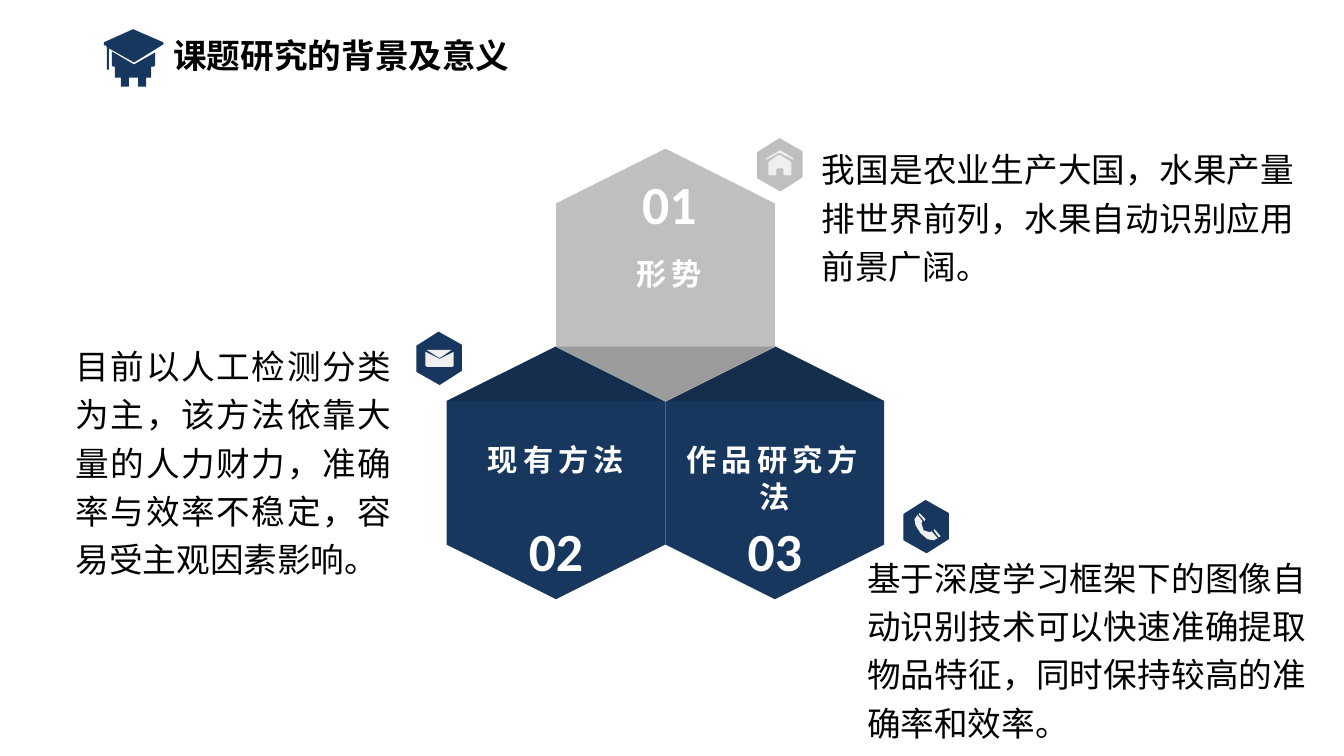
from lxml import etree
from pptx import Presentation, util as u
from pptx.dml.color import RGBColor
from pptx.enum import shapes as shp, text as txt
from pptx.oxml.ns import qn

NAVY, GREY, PALE, INK, WHITE = "17375E", "BFBFBF", "F0EFEF", "000000", "FFFFFF"
SHADE = "0D0D0D"
CJK, LATIN = "Noto Sans CJK SC", "Calibri"
HEX_W, HEX_H = 2.17, 2.51
HEX_SLOPE = HEX_W / 4
CENTER_X, TOP_Y, ROW_STEP = 6.6, 2.73, 1.96

# Icon outlines, in hundredths of an inch from the corner of their box
BADGE = [(0, 14), (22, 0), (45, 13), (45, 39), (23, 53), (0, 40)]
HOUSE = [
    [(23, 17), (21, 17), (12, 23), (11, 24), (11, 36), (12, 37), (18, 37), (19, 36),
     (19, 31), (20, 30), (25, 30), (26, 31), (26, 36), (28, 37), (33, 37), (34, 36),
     (34, 24), (33, 23)],
    [(36, 21), (35, 21), (23, 15), (21, 15), (10, 21), (8, 21), (9, 20), (21, 13),
     (23, 12), (36, 20)],
]
PHONE = [
    [(28, 31), (26, 32), (20, 30), (18, 23), (19, 21), (14, 15), (11, 19), (12, 25),
     (17, 33), (24, 39), (30, 40), (34, 38)],
    [(37, 36), (35, 37), (30, 30), (31, 29)],
    [(22, 19), (21, 21), (15, 14), (16, 13)],
]
LETTER = [
    [(10, 18), (35, 18), (25, 25), (23, 26), (21, 25)],
    [(9, 20), (21, 26), (23, 27), (25, 26), (37, 20), (37, 34), (35, 35), (11, 35),
     (9, 34)],
]
CAP = [
    [(0, 16), (2, 16), (3, 18), (3, 40), (5, 40), (5, 19), (30, 33), (59, 15),
     (59, 13), (29, 0), (0, 13)],
    [(8, 22), (30, 35), (51, 23), (51, 35), (50, 37), (47, 37), (47, 48), (42, 48),
     (42, 57), (34, 57), (34, 48), (25, 48), (25, 57), (17, 57), (17, 48), (11, 48),
     (11, 37), (9, 37), (8, 36)],
]


def paint(shape, color):
    shape.shadow.inherit = False
    shape.fill.solid()
    shape.fill.fore_color.rgb = RGBColor.from_string(color)
    shape.line.fill.background()
    return shape


def add_outline(parent, left, top, points, color):
    pen = parent.build_freeform(*points[0], scale=u.Inches(0.01))
    pen.add_line_segments(points[1:], close=True)
    return paint(pen.convert_to_shape(u.Inches(left), u.Inches(top)), color)


def add_text(slide, box, words, size, color, font=CJK, bold=False, align=None,
             leading=None, tracking=None):
    frame = slide.shapes.add_textbox(*map(u.Inches, box)).text_frame
    frame.word_wrap = True
    frame.margin_left = frame.margin_right = u.Inches(0.09)
    frame.margin_top = frame.margin_bottom = u.Inches(0.04)
    line = frame.paragraphs[0]
    line.text = words
    line.alignment = align
    line.line_spacing = leading
    line.font.size, line.font.bold = u.Pt(size), bold
    line.font.color.rgb = RGBColor.from_string(color)
    line.font.name = font
    props = line._p.pPr.find(qn("a:defRPr"))
    etree.SubElement(props, qn("a:ea")).set("typeface", font)
    if tracking:
        props.set("spc", str(round(tracking * 100)))


def add_header(slide, left, top, title):
    icon = slide.shapes.add_group_shape().shapes
    for outline in CAP:
        add_outline(icon, left, top, outline, NAVY)
    add_text(slide, (left + 0.6, top + 0.02, 4.57, 0.5), title, 24, INK, bold=True)


def add_badge(slide, left, top, icon, color):
    badge = slide.shapes.add_group_shape().shapes
    add_outline(badge, left, top, BADGE, color)
    for outline in icon:
        add_outline(badge, left, top, outline, PALE)


def add_cell(slide, x, y, color, shade_tip):
    """Upright hexagon centred on x, y; shade_tip is -1 for a dark roof, 1 for a dark foot."""
    box = (x - HEX_H / 2, y - HEX_W / 2, HEX_H, HEX_W)
    cell = slide.shapes.add_shape(shp.MSO_SHAPE.HEXAGON, *map(u.Inches, box))
    cell.rotation = 270
    paint(cell, color)
    tip, base = HEX_H / 2, HEX_H / 2 - HEX_SLOPE
    corners = [(0, tip), (HEX_W / 2, base), (-HEX_W / 2, base)]
    points = [(round(dx * 100), round(dy * shade_tip * 100)) for dx, dy in corners]
    shade = add_outline(slide.shapes, x, y, points, SHADE)
    tone = shade.fill._xPr.find(qn("a:solidFill"))[0]
    etree.SubElement(tone, qn("a:alpha")).set("val", "20000")


def add_cell_text(slide, x, y, number, label, number_dy, label_dy):
    center = txt.PP_ALIGN.CENTER
    add_text(slide, (x - 0.5, y + number_dy, 1, 0.74), number, 38.4, WHITE,
             LATIN, True, center)
    add_text(slide, (x - 1, y + label_dy, 2, 0.45), label, 21.6, WHITE,
             bold=True, align=center, tracking=3.6)


def add_honeycomb(slide):
    low_y = TOP_Y + ROW_STEP
    left_x, right_x = CENTER_X - HEX_W / 2, CENTER_X + HEX_W / 2
    add_cell(slide, right_x, low_y, NAVY, -1)
    add_cell(slide, left_x, low_y, NAVY, -1)
    add_cell(slide, CENTER_X, TOP_Y, GREY, 1)
    add_cell_text(slide, CENTER_X + 0.04, TOP_Y, "01", "形势", -1.08, -0.24)
    add_cell_text(slide, left_x, low_y, "02", "现有方法", 0.41, -0.35)
    add_cell_text(slide, right_x, low_y, "03", "作品研究方法", 0.41, -0.35)


def add_note(slide, box, words):
    add_text(slide, box, words, 24, INK, align=txt.PP_ALIGN.JUSTIFY, leading=1.2)


def main():
    deck = Presentation()
    deck.slide_width, deck.slide_height = u.Inches(13.33), u.Inches(7.5)
    slide = deck.slides.add_slide(deck.slide_layouts[6])

    # Badges beside the honeycomb
    add_badge(slide, 7.51, 1.37, HOUSE, GREY)
    add_badge(slide, 8.96, 4.96, PHONE, NAVY)
    add_badge(slide, 4.13, 3.29, LETTER, NAVY)

    # Three numbered cells
    add_honeycomb(slide)

    # Explanations
    add_note(slide, (0.66, 3.31, 3.31, 2.51),
             "目前以人工检测分类为主，该方法依靠大量的人力财力，准确率与效率不稳定，容易受主观因素影响。")
    add_note(slide, (8.06, 1.36, 4.87, 1.5),
             "我国是农业生产大国，水果产量排世界前列，水果自动识别应用前景广阔。")
    add_note(slide, (8.51, 5.41, 4.54, 1.99),
             "基于深度学习框架下的图像自动识别技术可以快速准确提取物品特征，同时保持较高的准确率和效率。")

    # Title with its cap
    add_header(slide, 1.03, 0.29, "课题研究的背景及意义")
    deck.save("out.pptx")


if __name__ == "__main__":
    main()
